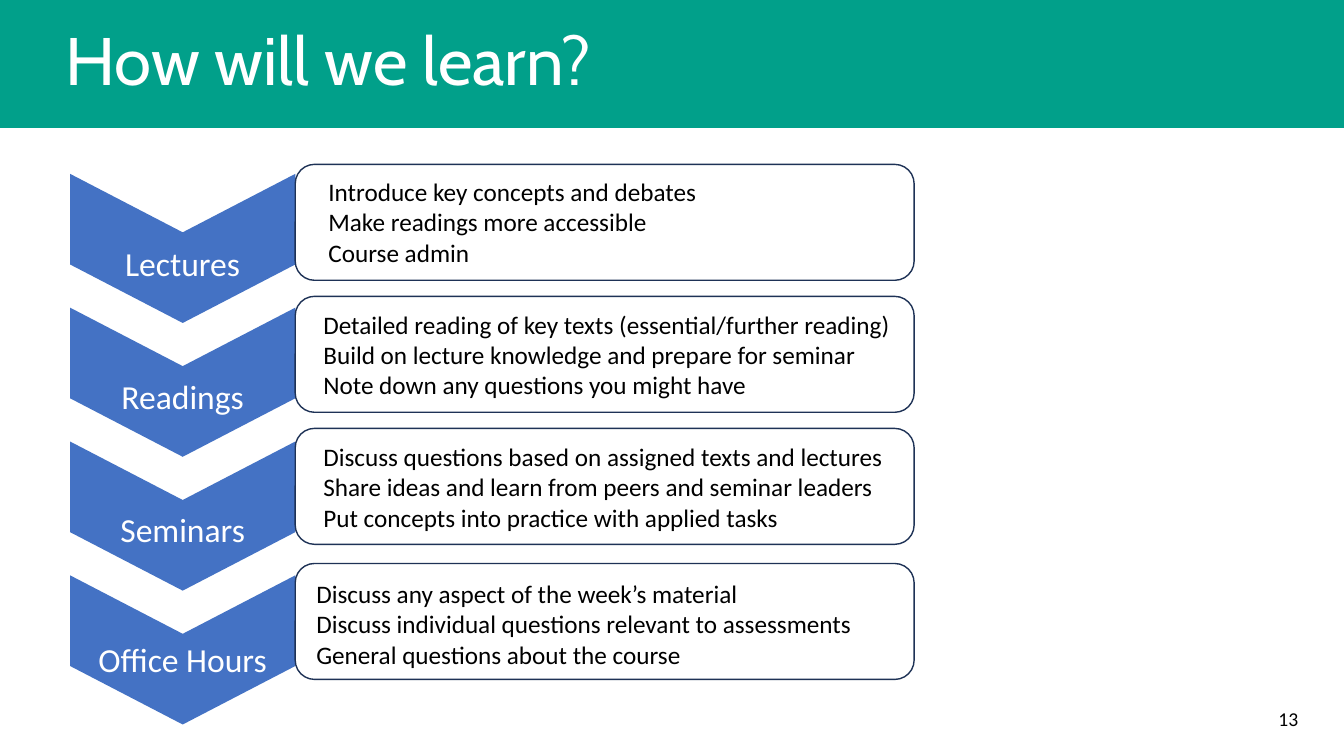
import pptx
import pptx.dml.color
import pptx.enum.shapes
import pptx.enum.text
import pptx.util

Pt = pptx.util.Pt
RGBColor = pptx.dml.color.RGBColor
SHAPE = pptx.enum.shapes.MSO_SHAPE
ALIGN = pptx.enum.text.PP_ALIGN
ANCHOR = pptx.enum.text.MSO_ANCHOR

TEAL = RGBColor(0x01, 0xA0, 0x8A)
BLUE = RGBColor(0x44, 0x72, 0xC4)
NAVY = RGBColor(0x1E, 0x32, 0x56)
WHITE = RGBColor(0xFF, 0xFF, 0xFF)
BLACK = RGBColor(0, 0, 0)

# Name, label top, card top, left and top of the card text, lines
STEPS = [
    ("Lectures", 169.9, 117.4, 227.5, 122.4,
     ["Introduce key concepts and debates",
      "Make readings more accessible",
      "Course admin"]),
    ("Readings", 265, 211.7, 223.9, 217.4,
     ["Detailed reading of key texts (essential/further reading)",
      "Build on lecture knowledge and prepare for seminar",
      "Note down any questions you might have"]),
    ("Seminars", 360, 306, 223.9, 311.8,
     ["Discuss questions based on assigned texts and lectures",
      "Share ideas and learn from peers and seminar leaders",
      "Put concepts into practice with applied tasks"]),
    ("Office Hours", 452.9, 402.5, 218.9, 409.7,
     ["Discuss any aspect of the week’s material",
      "Discuss individual questions relevant to assessments",
      "General questions about the course"]),
]


def add_shape(s, kind, box, fill, line=None):
    sp = s.shapes.add_shape(kind, *map(Pt, box))
    sp.shadow.inherit = False
    sp.fill.solid()
    sp.fill.fore_color.rgb = fill
    if line is None:
        sp.line.fill.background()
    else:
        sp.line.color.rgb = line
        sp.line.width = Pt(1)
    return sp


def add_text(s, box, lines, size, color, name="Calibri", anchor=ANCHOR.TOP, **para):
    tf = s.shapes.add_textbox(*map(Pt, box)).text_frame
    tf.word_wrap = True
    tf.vertical_anchor = anchor
    for i, line in enumerate(lines):
        p = tf.paragraphs[0] if i == 0 else tf.add_paragraph()
        for key, value in para.items():
            setattr(p, key, value)
        r = p.add_run()
        r.text = line
        for key, value in {"size": Pt(size), "name": name}.items():
            setattr(r.font, key, value)
        r.font.color.rgb = color


def add_header(s, box, title):
    x, y, w, h = box
    add_shape(s, SHAPE.RECTANGLE, box, TEAL, TEAL)
    add_text(s, (x + 39.6, y, w - 39.6, h), [title], 48, WHITE, "Cabin",
             ANCHOR.MIDDLE, line_spacing=0.9)


def add_arrow(s, box, name, label_top):
    """Two overlapping chevrons pointing down, with a label."""
    x, y, w, h = box
    depth, overlap = 83.5, 23
    for dy in (overlap, 0):
        # The chevron is turned a quarter about its centre
        sp = add_shape(s, SHAPE.CHEVRON,
                       (x + (w - depth) / 2, y + dy + (depth - w) / 2, depth, w), BLUE)
        sp.rotation = 90
    add_text(s, (x + 8, label_top, w - 16, 36), [name], 24, WHITE,
             alignment=ALIGN.CENTER)


def add_card(s, box, text_left, text_top, lines):
    x, y, w, h = box
    add_shape(s, SHAPE.ROUNDED_RECTANGLE, box, WHITE, NAVY)
    add_text(s, (text_left, text_top, 424, 72.7), lines, 18, BLACK)


def add_steps(s, box):
    x, y, w, h = box
    arrow_w, pitch = 160.8, 95.6
    for i, (name, label_top, card_top, text_left, text_top, lines) in enumerate(STEPS):
        add_arrow(s, (x, y + i * pitch, arrow_w, 106.5), name, label_top)
        add_card(s, (x + arrow_w, card_top, w - arrow_w, 82.8),
                 text_left, text_top, lines)


def main():
    prs = pptx.Presentation()
    prs.slide_width, prs.slide_height = Pt(960), Pt(540)
    s = prs.slides.add_slide(prs.slide_layouts[6])
    add_header(s, (0, 0, 960, 90.7), "How will we learn?")
    add_steps(s, (50.1, 124.2, 602.9, 393.3))
    # Slide number
    add_text(s, (731.5, 501.1, 203, 28.8), ["13"], 14, BLACK, alignment=ALIGN.RIGHT)
    prs.save("out.pptx")


if __name__ == "__main__":
    main()
